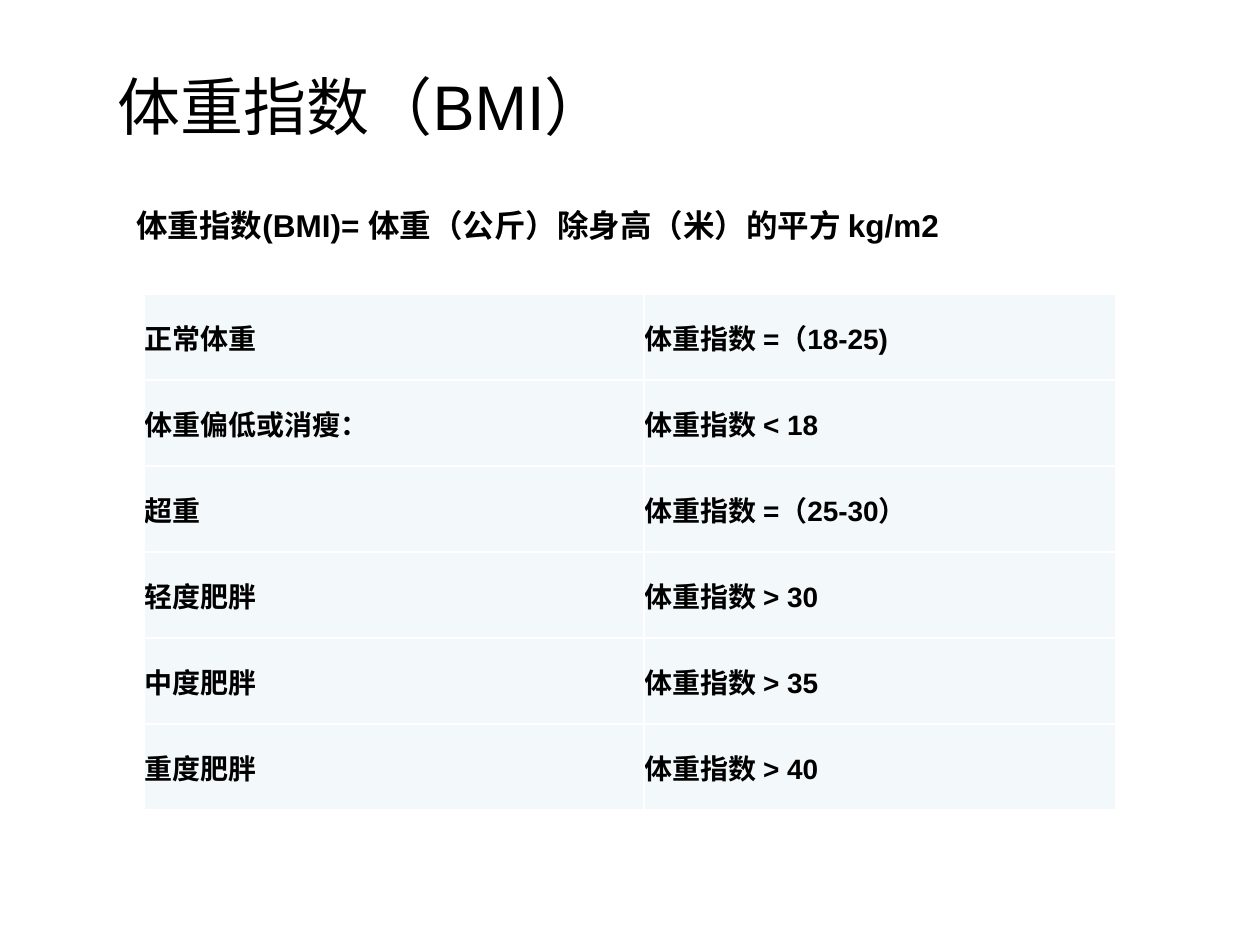
from pptx import Presentation
from pptx.dml.color import RGBColor
from pptx.enum.text import MSO_ANCHOR, PP_ALIGN
from pptx.oxml import parse_xml
from pptx.oxml.ns import nsdecls
from pptx.util import Pt

PX = 914400 // 126
HUES = {"text": "000000", "cell": "F3F9FA", "rule": "FFFFFF"}
ROWS = [
    ("正常体重", "体重指数 =（18-25)"),
    ("体重偏低或消瘦：", "体重指数 < 18"),
    ("超重", "体重指数 =（25-30）"),
    ("轻度肥胖", "体重指数 > 30"),
    ("中度肥胖", "体重指数 > 35"),
    ("重度肥胖", "体重指数 > 40"),
]
WIDTHS = (500, 472)
HIGH = 86


def write(frame, text, size, bold=True):
    frame.text = text
    para = frame.paragraphs[0]
    para.alignment = PP_ALIGN.LEFT
    font = para.font
    font.name = "Arial"
    font.size = Pt(size)
    font.bold = bold
    font.color.rgb = RGBColor.from_string(HUES["text"])


def edge(cell):
    props = cell._tc.get_or_add_tcPr()
    for spot, side in enumerate(("lnL", "lnR", "lnT", "lnB")):
        props.insert(spot, parse_xml(
            f'<a:{side} {nsdecls("a")} w="{Pt(1)}"><a:solidFill>'
            f'<a:srgbClr val="{HUES["rule"]}"/></a:solidFill></a:{side}>'))


deck = Presentation()
deck.slide_width = 1260 * PX
deck.slide_height = 945 * PX
slide = deck.slides.add_slide(deck.slide_layouts[5])

title = slide.shapes.title
title.left, title.top, title.width, title.height = (
    n * PX for n in (105, 26, 1134, 158))
title.text_frame.vertical_anchor = MSO_ANCHOR.MIDDLE
write(title.text_frame, "体重指数（BMI）", 36, False)

table = slide.shapes.add_table(
    len(ROWS), len(WIDTHS), 144 * PX, 294 * PX,
    sum(WIDTHS) * PX, len(ROWS) * HIGH * PX).table
table.first_row = False
table.horz_banding = False
for col, wide in zip(table.columns, WIDTHS):
    col.width = wide * PX
for row, texts in zip(table.rows, ROWS):
    row.height = HIGH * PX
    for cell, text in zip(row.cells, texts):
        cell.margin_left = cell.margin_right = cell.margin_top = PX
        cell.margin_bottom = 0
        cell.vertical_anchor = MSO_ANCHOR.MIDDLE
        cell.fill.solid()
        cell.fill.fore_color.rgb = RGBColor.from_string(HUES["cell"])
        edge(cell)
        write(cell.text_frame, text, 16)

rule = slide.shapes.add_textbox(124 * PX, 200 * PX, 993 * PX, 89 * PX)
rule.text_frame.word_wrap = True
write(rule.text_frame, "体重指数(BMI)= 体重（公斤）除身高（米）的平方 kg/m2", 18)

deck.save("out.pptx")
